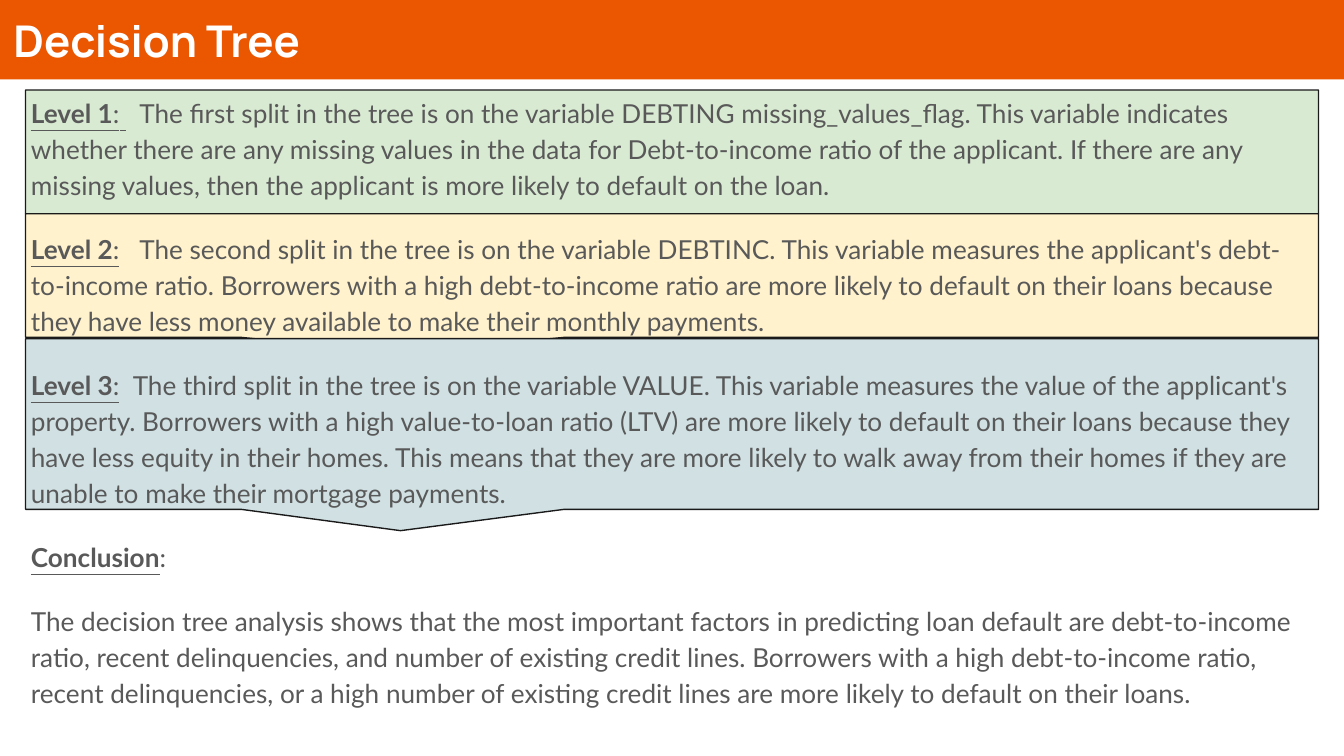
"""Build the Decision Tree slide: a title bar, three level callouts and a conclusion."""
from lxml.etree import SubElement
from pptx import Presentation
from pptx.dml.color import RGBColor
from pptx.enum.shapes import MSO_SHAPE as Shape
from pptx.enum.text import MSO_ANCHOR as Anchor, MSO_AUTO_SIZE as Fit, PP_ALIGN as Align
from pptx.oxml.ns import qn
from pptx.util import Inches, Pt

WIDTH = Inches(10)
HEIGHT = WIDTH * 9 // 16
BAR_HEIGHT = Inches(0.59)
MARGIN = Inches(0.19)
TEXT_MARGIN = Inches(0.13)
INSET = Inches(0.1)


def color(hex_code):
    return RGBColor.from_string(hex_code)


def write(paragraph, text, size=14, font="Lato", ink="595959", bold=False, underline=False,
          tracking=0):
    run = paragraph.add_run()
    run.text = text
    run.font.size, run.font.name = Pt(size), font
    run.font.bold, run.font.underline = bold, underline
    run.font.color.rgb = color(ink)
    if tracking:
        run._r.get_or_add_rPr().set("spc", str(tracking * 100))


deck = Presentation()
deck.slide_width, deck.slide_height = WIDTH, HEIGHT
slide = deck.slides.add_slide(deck.slide_layouts[1])
heading, explanation = slide.placeholders

heading.left, heading.top, heading.width, heading.height = 0, 0, WIDTH, BAR_HEIGHT
heading.fill.solid()
heading.fill.fore_color.rgb = color("EB5600")
heading_line = heading.text_frame.paragraphs[0]
heading_line.alignment = Align.LEFT
write(heading_line, "Decision Tree", size=23.4, font="Manrope", ink="FFFFFF", bold=True)

levels = [(0.67, 0.92, "D9EAD3"), (1.59, 0.92, "FFF2CC"), (2.52, 1.27, "D0E0E3")]
for level_top, level_height, tint in levels:
    level = slide.shapes.add_shape(
        Shape.RECTANGULAR_CALLOUT, MARGIN, Inches(level_top),
        WIDTH - 2 * MARGIN, Inches(level_height))
    level.adjustments[0], level.adjustments[1] = -0.21, 5 / 8
    level.shadow.inherit = False
    level.fill.solid()
    level.fill.fore_color.rgb = color(tint)
    level.line.color.rgb = color("1A1A1A")
    level.line.width = Pt(0.75)

slide.shapes.element.append(explanation.element)
explanation.left, explanation.top = TEXT_MARGIN, BAR_HEIGHT
explanation.width, explanation.height = WIDTH - 2 * TEXT_MARGIN, Inches(4.8)

for frame, anchor in [(heading.text_frame, Anchor.MIDDLE), (explanation.text_frame, Anchor.TOP)]:
    frame.margin_left = frame.margin_right = frame.margin_top = frame.margin_bottom = INSET
    frame.vertical_anchor = anchor
    frame.word_wrap = True
    frame.auto_size = Fit.NONE

passages = [
    ("Level 1", True, 7,
     "The first split in the tree is on the variable DEBTING missing_values_flag. This variable "
     "indicates whether there are any missing values in the data for Debt-to-income ratio of the "
     "applicant. If there are any missing values, then the applicant is more likely to default on "
     "the loan."),
    ("Level 2", False, 7,
     "The second split in the tree is on the variable DEBTINC. This variable measures the "
     "applicant's debt-to-income ratio. Borrowers with a high debt-to-income ratio are more likely "
     "to default on their loans because they have less money available to make their monthly "
     "payments."),
    ("Level 3", False, 3.5,
     "The third split in the tree is on the variable VALUE. This variable measures the value of "
     "the applicant's property. Borrowers with a high value-to-loan ratio (LTV) are more likely to "
     "default on their loans because they have less equity in their homes. This means that they "
     "are more likely to walk away from their homes if they are unable to make their mortgage "
     "payments."),
    ("Conclusion", False, 0, ""),
    ("", False, 0,
     "The decision tree analysis shows that the most important factors in predicting loan default "
     "are debt-to-income ratio, recent delinquencies, and number of existing credit lines. "
     "Borrowers with a high debt-to-income ratio, recent delinquencies, or a high number of "
     "existing credit lines are more likely to default on their loans."),
]
body = explanation.text_frame
for index, (label, gap_underlined, gap, passage) in enumerate(passages):
    paragraph = body.add_paragraph() if index else body.paragraphs[0]
    paragraph.line_spacing = 1.15
    paragraph.space_before = Pt(15)
    paragraph.space_after = Pt(0 if label else 10)
    layout = paragraph._p.get_or_add_pPr()
    layout.set("marL", "0")
    layout.set("indent", "0")
    SubElement(layout, qn("a:buNone"))
    if label:
        write(paragraph, label, bold=True, underline=True)
        write(paragraph, ":", underline=bool(passage))
    if gap:
        write(paragraph, " ", underline=gap_underlined, tracking=int(gap * 2) / 2)
    if passage:
        write(paragraph, passage)

deck.save("out.pptx")
